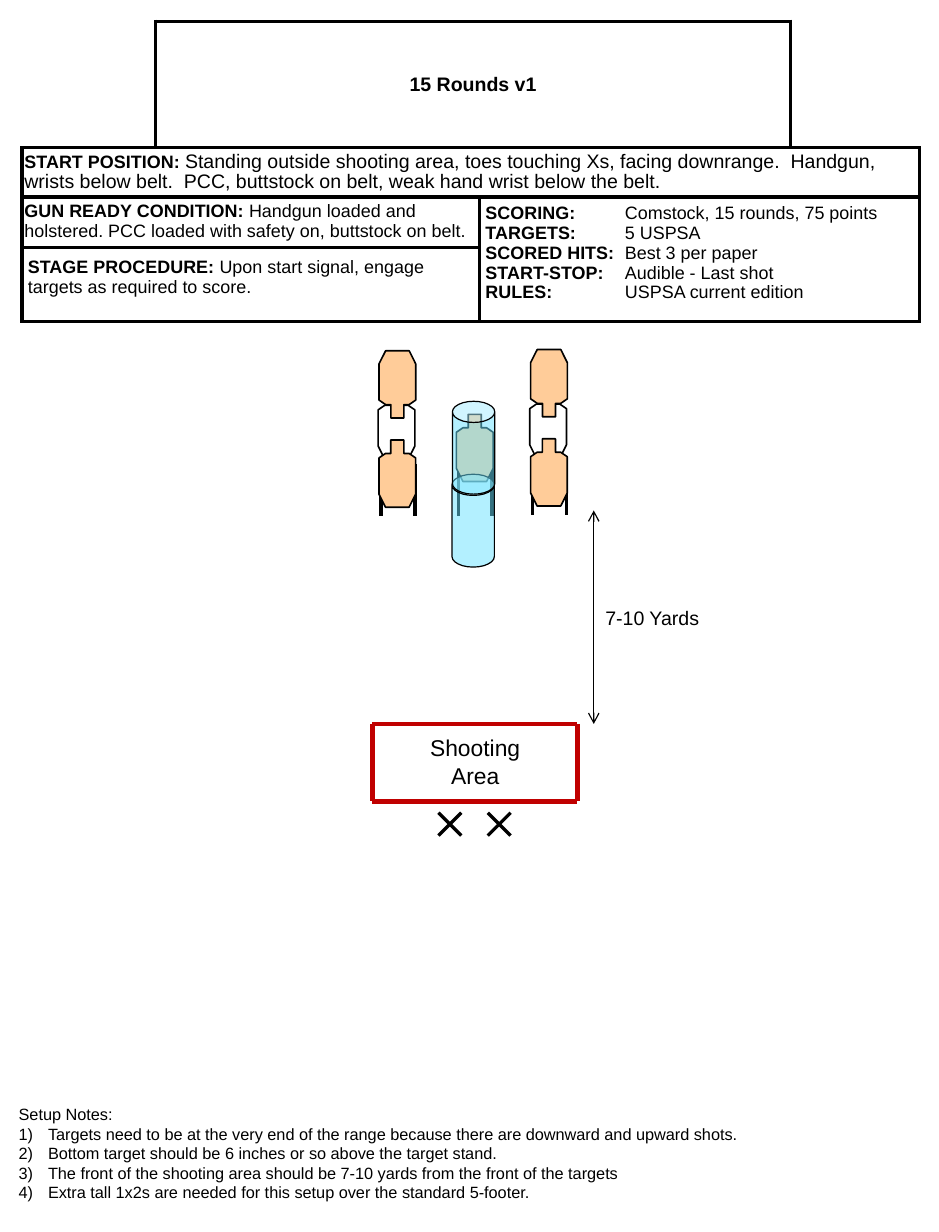
from dataclasses import dataclass

import lxml.etree
import pptx
import pptx.dml.color
import pptx.enum.shapes
import pptx.enum.text
import pptx.oxml.ns
import pptx.util

Pt = pptx.util.Pt
qn = pptx.oxml.ns.qn
ALIGN = pptx.enum.text.PP_ALIGN
SHAPE = pptx.enum.shapes.MSO_SHAPE


@dataclass(frozen=True)
class Theme:
    font: str = "Arial"
    black: str = "000000"
    white: str = "FFFFFF"
    tan: str = "FFCC99"
    red: str = "C00000"
    barrel: str = "69E2FF"
    notes: float = 10
    body: float = 11
    heading: float = 12
    area: float = 14


@dataclass(frozen=True)
class Target:
    left: float
    top: float
    stand_top: float
    stacked: bool


@dataclass(frozen=True)
class Briefing:
    row: int
    column: int
    end_row: int
    end_column: int
    margins: tuple[float, float, float]
    lines: tuple[tuple[str, str], ...]
    size: float = 11
    spacing: float | None = None


THEME = Theme()
SILHOUETTE = [(7.25, 0), (15.25, 0), (15.25, 8.25), (18.5, 8.25), (22.5, 11), (22.5, 33.25),
              (18.5, 41.25), (4, 41.25), (0, 33.25), (0, 11), (4, 8.25), (7.25, 8.25)]
TARGETS = [Target(325.5, 269.25, 284.25, True), Target(280, 254.25, 285, False),
           Target(232.5, 270, 285, True)]
BRIEFINGS = [
    Briefing(0, 1, 0, 2, (3.6, 3.6, 3.6), (("15 Rounds v1", ""),)),
    Briefing(1, 0, 1, 3, (1.5, 3, 3), ((
        "START POSITION: ",
        "Standing outside shooting area, toes touching Xs, facing downrange.  Handgun, "
        "wrists below belt.  PCC, buttstock on belt, weak hand wrist below the belt."),),
        size=THEME.heading, spacing=0.9),
    Briefing(2, 0, 2, 1, (1.5, 2.75, 2), ((
        "GUN READY CONDITION: ",
        "Handgun loaded and holstered. PCC loaded with safety on, buttstock on belt."),)),
    Briefing(2, 2, 3, 3, (3.6, 3.6, 3.6), (
        ("SCORING:", "\tComstock, 15 rounds, 75 points"),
        ("TARGETS:", "\t5 USPSA"),
        ("SCORED HITS:", "\tBest 3 per paper"),
        ("START-STOP:", "\tAudible - Last shot"),
        ("RULES:", "\tUSPSA current edition"))),
    Briefing(3, 0, 3, 1, (3.6, 5.8, 3.6), ((
        "STAGE PROCEDURE: ",
        "Upon start signal, engage targets as required to score."),)),
]
SETUP_NOTES = [
    "Targets need to be at the very end of the range because there are downward and upward shots.",
    "Bottom target should be 6 inches or so above the target stand.",
    "The front of the shooting area should be 7-10 yards from the front of the targets",
    "Extra tall 1x2s are needed for this setup over the standard 5-footer.",
]


def color(value: str) -> pptx.dml.color.RGBColor:
    return pptx.dml.color.RGBColor.from_string(value)


def write(frame, text: str, *, size: float, label: str = "", label_size: float = THEME.body,
          align=ALIGN.LEFT, spacing: float | None = None, numbered: bool = False,
          plain: bool = False, tab: float | None = None) -> None:
    paragraph = frame.paragraphs[0]
    if paragraph.runs:
        paragraph = frame.add_paragraph()
    properties = paragraph._p.get_or_add_pPr()
    if numbered or plain:
        indent = Pt(18) if numbered else 0
        properties.set("marL", str(indent))
        properties.set("indent", str(-indent))
        if numbered:
            lxml.etree.SubElement(properties, qn("a:buFont"), typeface="+mj-lt")
            lxml.etree.SubElement(properties, qn("a:buAutoNum"), type="arabicParenR")
        else:
            lxml.etree.SubElement(properties, qn("a:buNone"))
    if tab:
        tabs = lxml.etree.SubElement(properties, qn("a:tabLst"))
        lxml.etree.SubElement(tabs, qn("a:tab"), pos=str(Pt(tab)), algn="l")
    paragraph.alignment = align
    paragraph.space_before = Pt(0)
    if spacing:
        paragraph.line_spacing = spacing
    for content, points, bold in ((label, label_size, True), (text, size, False)):
        if content:
            run = paragraph.add_run()
            run.text = content
            run.font.name = THEME.font
            run.font.size = Pt(points)
            run.font.bold = bold
            run.font.color.rgb = color(THEME.black)


def set_border(cell, side: str, visible: bool) -> None:
    line = lxml.etree.Element(qn(f"a:ln{side}"), w=str(Pt(2.25)))
    if visible:
        fill = lxml.etree.SubElement(line, qn("a:solidFill"))
        lxml.etree.SubElement(fill, qn("a:srgbClr"), val=THEME.black)
    else:
        lxml.etree.SubElement(line, qn("a:noFill"))
    cell._tc.get_or_add_tcPr().append(line)


def draw_briefing_table(shapes) -> None:
    widths = [82, 198.75, 190.75, 79.25]
    heights = [77.75, 26.5, 31, 45.25]
    table = shapes.add_table(4, 4, Pt(13.5), Pt(13), Pt(sum(widths)), Pt(sum(heights))).table
    table.first_row = table.horz_banding = False
    for column, width in zip(table.columns, widths):
        column.width = Pt(width)
    for row, height in zip(table.rows, heights):
        row.height = Pt(height)
    for row in range(4):
        for column in range(4):
            cell = table.cell(row, column)
            hidden = {(0, 0): "LT", (0, 3): "RT"}.get((row, column), "")
            for side in "LRTB":
                set_border(cell, side, side not in hidden)
            cell.fill.solid()
            cell.fill.fore_color.rgb = color(THEME.white)
    for item in BRIEFINGS:
        cell = table.cell(item.row, item.column)
        cell.merge(table.cell(item.end_row, item.end_column))
        side, top, bottom = item.margins
        cell.margin_left = cell.margin_right = Pt(side)
        cell.margin_top, cell.margin_bottom = Pt(top), Pt(bottom)
        title = item.row == 0
        if title:
            cell.vertical_anchor = pptx.enum.text.MSO_ANCHOR.MIDDLE
        for label, text in item.lines:
            write(cell.text_frame, text, label=label, size=item.size, spacing=item.spacing,
                  label_size=THEME.heading if title else THEME.body,
                  align=ALIGN.CENTER if title else ALIGN.LEFT,
                  tab=85.5 if text.startswith("\t") else None)


def draw_line(shapes, start: tuple[float, float], end: tuple[float, float], width: float,
              line_color: str = THEME.black, arrows: bool = False) -> None:
    connector = shapes.add_connector(pptx.enum.shapes.MSO_CONNECTOR.STRAIGHT,
                                     Pt(start[0]), Pt(start[1]), Pt(end[0]), Pt(end[1]))
    connector.line.color.rgb = color(line_color)
    connector.line.width = Pt(width)
    if arrows:
        for name in ("a:headEnd", "a:tailEnd"):
            lxml.etree.SubElement(connector.line._get_or_add_ln(), qn(name), type="arrow")
    lxml.etree.SubElement(connector._element.spPr, qn("a:effectLst"))


def style(shape, fill: str, width: float) -> None:
    shape.shadow.inherit = False
    shape.fill.solid()
    shape.fill.fore_color.rgb = color(fill)
    shape.line.color.rgb = color(THEME.black)
    shape.line.width = Pt(width)


def draw_silhouette(shapes, left: float, top: float, fill: str, rotation: float = 0) -> None:
    points = [(Pt(left + x), Pt(top + y)) for x, y in SILHOUETTE]
    builder = shapes.build_freeform(*points[0])
    builder.add_line_segments(points[1:], close=True)
    shape = builder.convert_to_shape()
    style(shape, fill, 1)
    shape.rotation = rotation


def draw_target(shapes, target: Target) -> None:
    group = shapes.add_group_shape().shapes
    for offset in (1.25, 22):
        x = target.left + offset
        draw_line(group, (x, target.stand_top), (x, target.stand_top + 31.75), 2.25)
    if target.stacked:
        draw_silhouette(group, target.left - 0.5, target.top - 29.5, THEME.white)
    draw_silhouette(group, target.left, target.top, THEME.tan)
    if target.stacked:
        draw_silhouette(group, target.left, target.top - 54.75, THEME.tan, 180)


def draw_barrel(shapes, left: float, top: float) -> None:
    barrel = shapes.add_shape(SHAPE.CAN, Pt(left), Pt(top), Pt(26), Pt(57))
    barrel.adjustments[0] = 0.5
    style(barrel, THEME.barrel, 0.75)
    fill = barrel._element.spPr.find(qn("a:solidFill"))
    lxml.etree.SubElement(fill[0], qn("a:alpha"), val="50000")


def draw_shooting_area(shapes) -> None:
    left, top, right, bottom = 228.25, 444.25, 354.25, 491.75
    for y in (top, bottom):
        draw_line(shapes, (left, y), (right, y), 3, THEME.red)
    for x in (left, right):
        draw_line(shapes, (x, top), (x, bottom), 3, THEME.red)
    frame = shapes.add_textbox(Pt(256.25), Pt(447), Pt(70.5), Pt(41)).text_frame
    frame.word_wrap = True
    for word in ("Shooting", "Area"):
        write(frame, word, size=THEME.area, align=ALIGN.CENTER)
    middle, reach = 505.75, 7
    for x in (276, 306.25):
        for slope in (-reach, reach):
            draw_line(shapes, (x - reach, middle - slope), (x + reach, middle + slope), 2)


def main() -> None:
    presentation = pptx.Presentation()
    presentation.slide_width, presentation.slide_height = Pt(576), Pt(756)
    slide = presentation.slides.add_slide(presentation.slide_layouts[1])
    title, notes = slide.placeholders
    title._element.getparent().remove(title._element)
    shapes = slide.shapes
    draw_briefing_table(shapes)
    draw_shooting_area(shapes)
    draw_line(shapes, (364.25, 313.25), (364.25, 444.25), 0.75, arrows=True)
    distance = shapes.add_textbox(Pt(364.25), Pt(368), Pt(72.75), Pt(21.75)).text_frame
    distance.word_wrap = False
    write(distance, "7-10 Yards", size=THEME.heading)
    for target in TARGETS:
        draw_target(shapes, target)
    draw_barrel(shapes, 277.25, 291)
    draw_barrel(shapes, 277.5, 246.25)
    notes.left, notes.top, notes.width, notes.height = Pt(4.25), Pt(674), Pt(458.75), Pt(67.75)
    notes.text_frame.auto_size = pptx.enum.text.MSO_AUTO_SIZE.NONE
    notes.text_frame.word_wrap = False
    write(notes.text_frame, "Setup Notes:", size=THEME.notes, plain=True)
    for note in SETUP_NOTES:
        write(notes.text_frame, note, size=THEME.notes, numbered=True)
    presentation.save("out.pptx")


if __name__ == "__main__":
    main()
